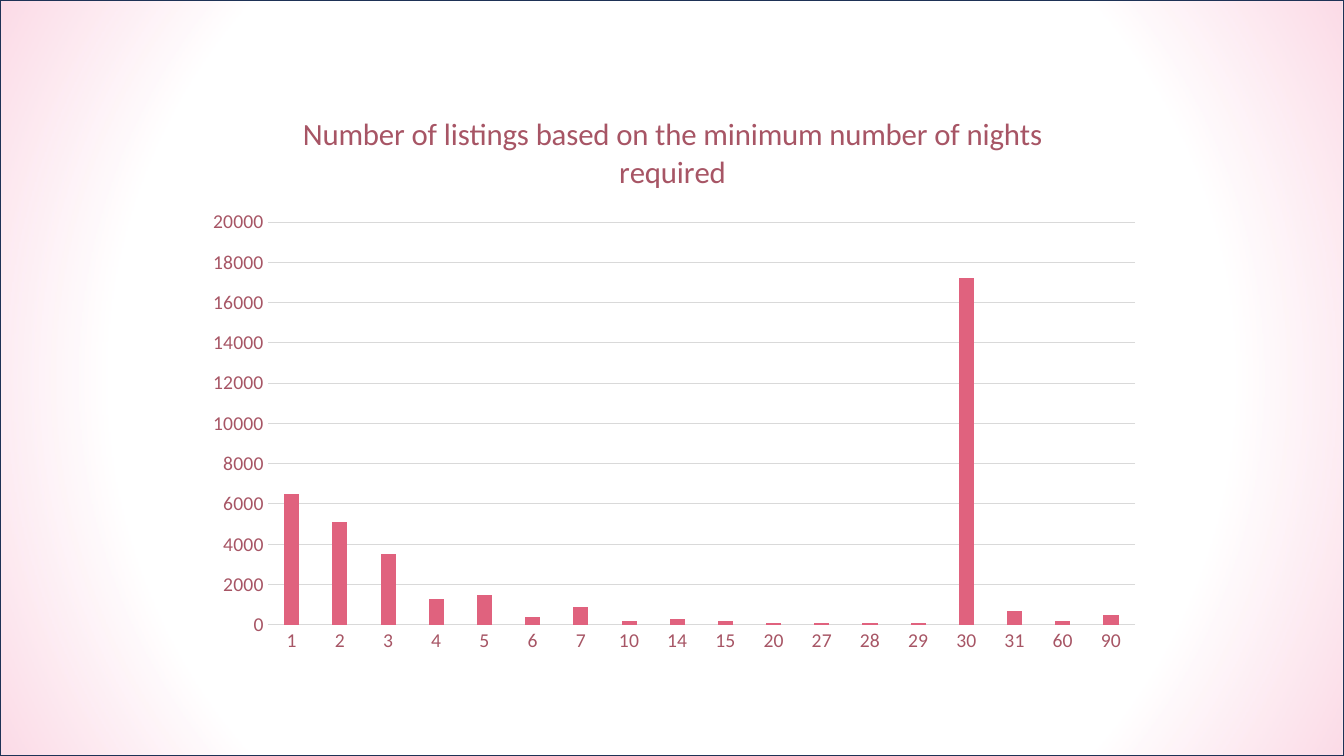
from pptx import Presentation
from pptx.chart.data import CategoryChartData
from pptx.dml.color import RGBColor
from pptx.enum.chart import XL_CHART_TYPE, XL_TICK_MARK
from pptx.enum.shapes import MSO_SHAPE
from pptx.oxml import parse_xml
from pptx.oxml.ns import nsdecls, qn
from pptx.util import Inches, Pt

FONT = "Calibri"
ROSE = "A75565"
PINK = "E0627E"
GREY = "D9D9D9"
NAVY = "1E3256"
TITLE = "Number of listings based on the minimum number of nights required"
LISTINGS = {
    "1": 6500, "2": 5100, "3": 3500, "4": 1300, "5": 1500, "6": 400,
    "7": 900, "10": 200, "14": 300, "15": 200, "20": 100, "27": 100,
    "28": 100, "29": 100, "30": 17200, "31": 700, "60": 200, "90": 500,
}
GLOW_STOPS = [(0, "FFFFFF", 50), (73, "FFFFFF", 90), (100, "FBDAE6", 100)]
PLOT_AREA = {"x": 0.08, "y": 0.23, "w": 0.9, "h": 0.7}


def color(value):
    """Turn a hex string into a colour."""
    return RGBColor.from_string(value)


def style_font(font, size, value):
    """Set the face, size and colour of a font."""
    font.name = FONT
    font.size = Pt(size)
    font.bold = False
    font.color.rgb = color(value)


def style_line(line, value, width):
    """Set the colour and width of a line."""
    line.color.rgb = color(value)
    line.width = Pt(width)


def add_glow(page, width, height):
    """Cover the page with a radial gradient that is pink at the corners."""
    box = page.shapes.add_shape(MSO_SHAPE.RECTANGLE, 0, 0, width, height)
    box.shadow.inherit = False
    style_line(box.line, NAVY, 1)
    box.fill.background()
    stops = "".join(
        f'<a:gs pos="{place * 1000}"><a:srgbClr val="{value}">'
        f'<a:alpha val="{alpha * 1000}"/></a:srgbClr></a:gs>'
        for place, value, alpha in GLOW_STOPS
    )
    gradient = parse_xml(
        f'<a:gradFill {nsdecls("a")} rotWithShape="1"><a:gsLst>{stops}</a:gsLst>'
        '<a:path path="circle"><a:fillToRect l="50000" t="50000" r="50000" b="50000"/>'
        "</a:path></a:gradFill>"
    )
    properties = box.element.spPr
    properties.replace(properties.find(qn("a:noFill")), gradient)


def style_axis(axis):
    """Remove tick marks and style the labels of an axis."""
    axis.major_tick_mark = XL_TICK_MARK.NONE
    axis.minor_tick_mark = XL_TICK_MARK.NONE
    style_font(axis.tick_labels.font, 14, ROSE)


def add_title(chart, text):
    """Put a title above the plot."""
    para = chart.chart_title.text_frame.paragraphs[0]
    span = para.add_run()
    span.text = text
    style_font(span.font, 22, ROSE)
    chart.chart_title.include_in_layout = False


def place_plot(chart, area):
    """Fix the inner plot area as fractions of the chart."""
    sizes = "".join(f'<c:{key} val="{value}"/>' for key, value in area.items())
    layout = parse_xml(
        f'<c:layout {nsdecls("c")}><c:manualLayout><c:layoutTarget val="inner"/>'
        f'<c:xMode val="edge"/><c:yMode val="edge"/>{sizes}</c:manualLayout></c:layout>'
    )
    plot_area = chart.element.find(".//" + qn("c:plotArea"))
    for old in plot_area.findall(qn("c:layout")):
        plot_area.remove(old)
    plot_area.insert(0, layout)


def add_listings_chart(page):
    """Add the column chart of listings by minimum nights."""
    data = CategoryChartData()
    data.categories = list(LISTINGS)
    data.add_series("Series 1", list(LISTINGS.values()))
    chart = page.shapes.add_chart(
        XL_CHART_TYPE.COLUMN_CLUSTERED,
        Inches(1.89), Inches(0.89), Inches(9.56), Inches(5.71), data,
    ).chart
    style_font(chart.font, 10, "000000")
    chart.has_legend = False
    add_title(chart, TITLE)
    place_plot(chart, PLOT_AREA)

    nights, counts = chart.category_axis, chart.value_axis
    for axis in (nights, counts):
        style_axis(axis)
    style_line(nights.format.line, GREY, 0.75)
    counts.format.line.fill.background()
    counts.maximum_scale, counts.minimum_scale, counts.major_unit = 20000, 0, 2000
    style_line(counts.major_gridlines.format.line, GREY, 0.75)

    plot = chart.plots[0]
    plot.vary_by_categories = False
    plot.gap_width, plot.overlap = 219, -27
    fill = plot.series[0].format.fill
    fill.solid()
    fill.fore_color.rgb = color(PINK)


def main():
    """Build and save the slide."""
    deck = Presentation()
    deck.slide_width, deck.slide_height = Inches(13.33), Inches(7.5)
    page = deck.slides.add_slide(deck.slide_layouts[6])
    add_glow(page, deck.slide_width, deck.slide_height)
    add_listings_chart(page)
    deck.save("out.pptx")


main()
